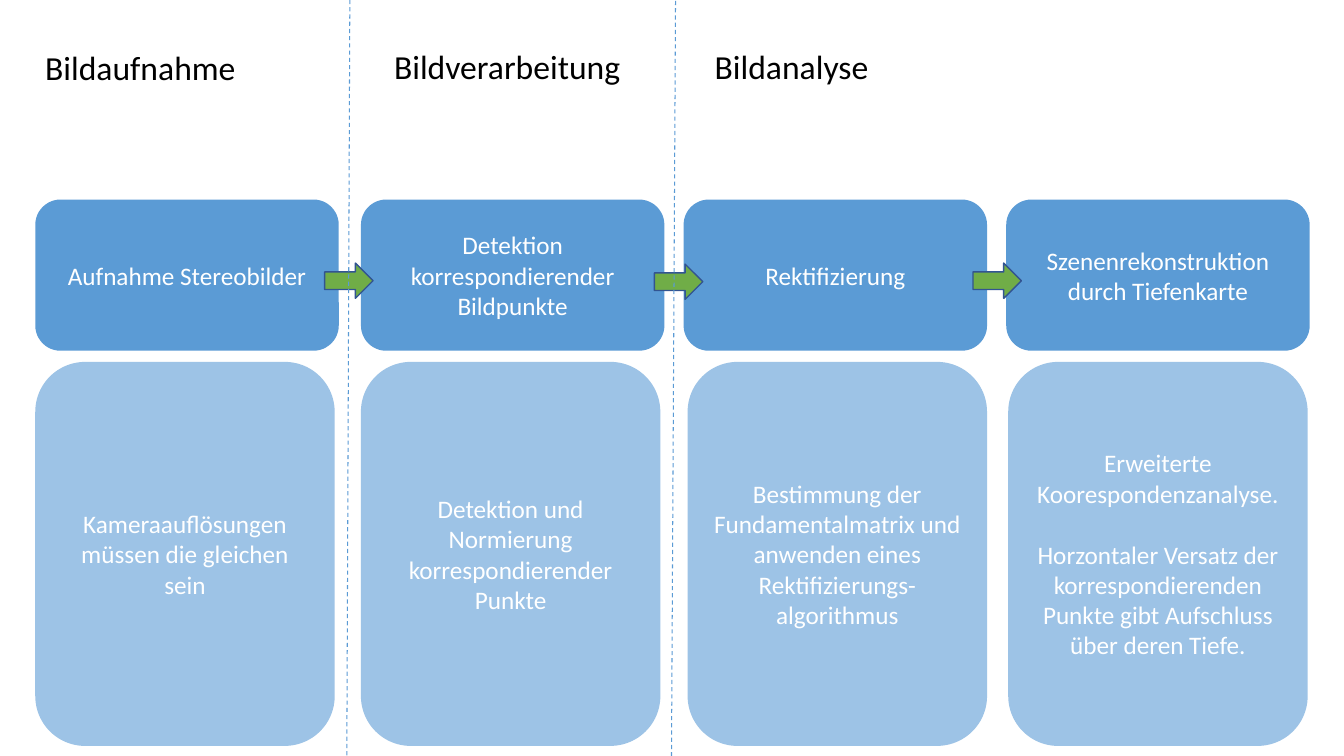
from dataclasses import dataclass
from lxml import etree
from pptx import Presentation
from pptx.dml.color import RGBColor as Rgb
from pptx.enum import dml, shapes, text
from pptx.oxml import ns
from pptx.util import Inches, Pt


@dataclass
class Theme:
    font: str = "Calibri"
    head: int = 24
    body: int = 18
    black: Rgb = Rgb(0, 0, 0)
    white: Rgb = Rgb(255, 255, 255)
    blue: Rgb = Rgb(0x5B, 0x9B, 0xD5)
    pale: Rgb = Rgb(0x9D, 0xC3, 0xE6)
    green: Rgb = Rgb(0x70, 0xAD, 0x47)
    edge: Rgb = Rgb(0x32, 0x54, 0x91)


theme = Theme()
deck = Presentation()
deck.slide_width, deck.slide_height = Inches(13.33), Inches(7.5)
slide = deck.slides.add_slide(deck.slide_layouts[6])


def write(frame, lines, size, color, align):
    frame.word_wrap = True
    frame.text = "\n".join(lines)
    for par in frame.paragraphs:
        par.alignment = align
        par.font.name, par.font.size = theme.font, Pt(size)
        par.font.color.rgb = color
    # One line of space between paragraphs
    for par in frame.paragraphs[1:]:
        par.space_before = Pt(22)


def draw(kind, left, top, width, height, fill):
    shape = slide.shapes.add_shape(
        kind, Inches(left), Inches(top), Inches(width), Inches(height))
    shape.shadow.inherit = False
    shape.fill.solid()
    shape.fill.fore_color.rgb = fill
    shape.line.fill.background()
    return shape


# Phase headings
for left, top, name in [(0.35, 0.42, "Bildaufnahme"),
                        (3.81, 0.41, "Bildverarbeitung"),
                        (6.99, 0.41, "Bildanalyse")]:
    box = slide.shapes.add_textbox(
        Inches(left), Inches(top), Inches(3.01), Inches(0.5))
    write(box.text_frame, [name], theme.head, theme.black, text.PP_ALIGN.LEFT)

# Steps with their details: left of step, left of detail, texts
steps = [
    (0.35, 0.35, "Aufnahme Stereobilder",
     ["Kameraauflösungen müssen die gleichen sein"]),
    (3.58, 3.58, "Detektion korrespondierender Bildpunkte",
     ["Detektion und Normierung korrespondierender Punkte"]),
    (6.78, 6.82, "Rektifizierung",
     ["Bestimmung der Fundamentalmatrix und anwenden eines "
      "Rektifizierungs-algorithmus"]),
    (9.98, 10, "Szenenrekonstruktion durch Tiefenkarte",
     ["Erweiterte Koorespondenzanalyse.",
      "Horzontaler Versatz der korrespondierenden Punkte gibt Aufschluss "
      "über deren Tiefe."]),
]
for left, inset, step, detail in steps:
    for x, y, width, height, fill, lines in [
            (left, 1.98, 3.01, 1.5, theme.blue, [step]),
            (inset, 3.59, 2.97, 3.81, theme.pale, detail)]:
        card = draw(shapes.MSO_SHAPE.ROUNDED_RECTANGLE,
                    x, y, width, height, fill)
        card.text_frame.vertical_anchor = text.MSO_ANCHOR.MIDDLE
        write(card.text_frame, lines, theme.body, theme.white,
              text.PP_ALIGN.CENTER)

# Arrows between the steps
for left, top in [(3.22, 2.61), (6.49, 2.62), (9.65, 2.61)]:
    arrow = draw(shapes.MSO_SHAPE.RIGHT_ARROW,
                 left, top, 0.48, 0.35, theme.green)
    arrow.line.color.rgb = theme.edge
    arrow.line.width = Pt(1)

# Dashed dividers between the phases
for start, top, end in [(3.47, 0, 3.44), (6.7, 0.01, 6.66)]:
    rule = slide.shapes.add_connector(
        shapes.MSO_CONNECTOR.STRAIGHT, Inches(start), Inches(top),
        Inches(end), Inches(top + 7.5))
    rule.line.color.rgb = theme.blue
    rule.line.width = Pt(0.75)
    rule.line.dash_style = dml.MSO_LINE.DASH
    etree.SubElement(rule._element.spPr, ns.qn("a:effectLst"))

deck.save("out.pptx")
